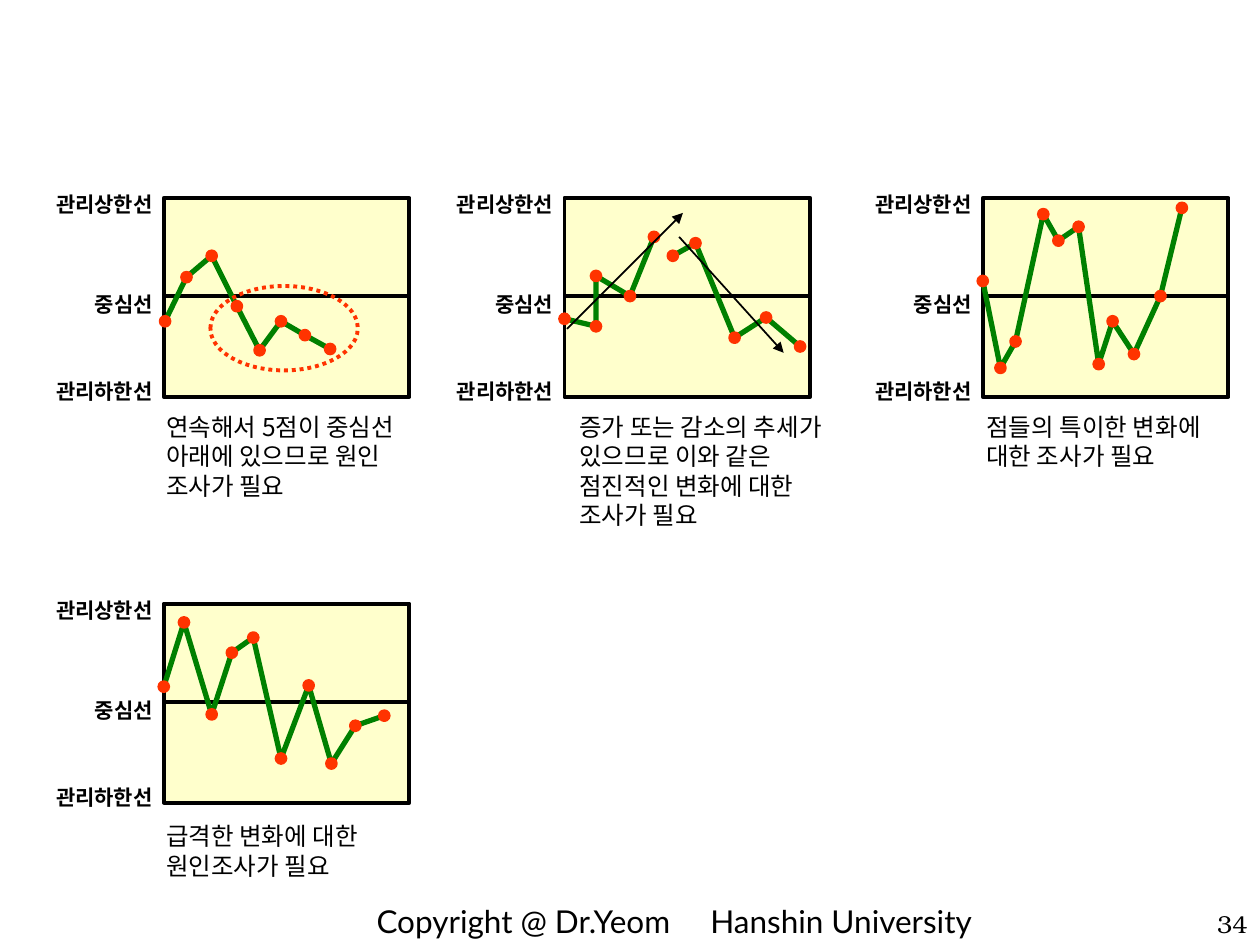
from lxml import etree
from pptx import Presentation
from pptx.dml.color import RGBColor
from pptx.enum.dml import MSO_LINE
from pptx.enum.shapes import MSO_CONNECTOR, MSO_SHAPE
from pptx.enum.text import MSO_ANCHOR, PP_ALIGN
from pptx.oxml.ns import qn
from pptx.util import Inches, Pt

BLACK = RGBColor(0x00, 0x00, 0x00)
CREAM = RGBColor(0xFF, 0xFF, 0xCC)
GREEN = RGBColor(0x00, 0x80, 0x00)
ORANGE = RGBColor(0xFF, 0x33, 0x00)

PANEL_WIDTH, PANEL_HEIGHT = 1.95, 1.58
AXIS_LABELS = ["관리상한선", "중심선", "관리하한선"]

# Each chart: panel corner, caption corner, caption lines, runs of points
CHARTS = [
    ((1.3, 1.57), (1.22, 3.22),
     ["연속해서 5점이 중심선", "아래에 있으므로 원인", "조사가 필요"],
     [[(1.31, 2.55), (1.48, 2.2), (1.68, 2.03), (1.88, 2.43),
       (2.06, 2.78), (2.23, 2.55), (2.42, 2.66), (2.62, 2.77)]]),
    ((4.48, 1.57), (4.5, 3.22),
     ["증가 또는 감소의 추세가", "있으므로 이와 같은", "점진적인 변화에 대한", "조사가 필요"],
     [[(4.48, 2.53), (4.73, 2.59), (4.73, 2.19), (5, 2.35), (5.19, 1.88)],
      [(5.34, 2.03), (5.52, 1.93), (5.83, 2.68), (6.08, 2.52), (6.35, 2.75)]]),
    ((7.8, 1.57), (7.73, 3.22),
     ["점들의 특이한 변화에", "대한 조사가 필요"],
     [[(7.8, 2.23), (7.94, 2.92), (8.06, 2.71), (8.28, 1.7), (8.4, 1.91),
       (8.56, 1.8), (8.72, 2.89), (8.83, 2.55), (9, 2.81), (9.21, 2.35),
       (9.38, 1.65)]]),
    ((1.3, 4.79), (1.22, 6.47),
     ["급격한 변화에 대한", "원인조사가 필요"],
     [[(1.3, 5.45), (1.46, 4.94), (1.68, 5.67), (1.84, 5.18), (2.01, 5.06),
       (2.23, 6.02), (2.45, 5.44), (2.63, 6.06), (2.82, 5.76), (3.05, 5.68)]]),
]


class ControlChartSlide:
    """Holds the slide and the look of its elements."""

    korean_font = "Noto Sans CJK KR"
    line_spacing = 1.2

    def __init__(self, slide):
        self.slide = slide
        self.shapes = slide.shapes

    def shape(self, kind, left, top, width, height, fill, line, weight):
        shape = self.shapes.add_shape(
            kind, Inches(left), Inches(top), Inches(width), Inches(height))
        self.paint(shape, fill, line, weight)
        return shape

    def paint(self, shape, fill, line, weight):
        shape.shadow.inherit = False
        if fill is None:
            shape.fill.background()
        else:
            shape.fill.solid()
            shape.fill.fore_color.rgb = fill
        shape.line.color.rgb = line
        shape.line.width = Pt(weight)

    def line(self, start, end, weight, arrow=False):
        connector = self.shapes.add_connector(
            MSO_CONNECTOR.STRAIGHT, *[Inches(value) for value in start + end])
        connector.line.color.rgb = BLACK
        connector.line.width = Pt(weight)
        if arrow:
            outline = connector.line._get_or_add_ln()
            etree.SubElement(outline, qn("a:tailEnd"), type="triangle")
        etree.SubElement(connector._element.spPr, qn("a:effectLst"))

    def text(self, left, top, width, height, lines, size, font,
             align=PP_ALIGN.LEFT, anchor=MSO_ANCHOR.TOP, bold=False):
        box = self.shapes.add_textbox(
            Inches(left), Inches(top), Inches(width), Inches(height))
        text_frame = box.text_frame
        text_frame.word_wrap = True
        text_frame.vertical_anchor = anchor
        text_frame.text = "\n".join(lines)
        for paragraph in text_frame.paragraphs:
            paragraph.alignment = align
            if font == self.korean_font:
                paragraph.line_spacing = Pt(size * self.line_spacing)
            for run in paragraph.runs:
                run.font.name = font
                run.font.size = Pt(size)
                run.font.bold = bold
                run.font.color.rgb = BLACK
                etree.SubElement(run.font._element, qn("a:ea"), typeface=font)
        return text_frame.paragraphs

    def panel(self, left, top):
        self.shape(MSO_SHAPE.RECTANGLE, left, top, PANEL_WIDTH, PANEL_HEIGHT,
                   CREAM, BLACK, 2.25)
        middle = top + 0.78
        self.line((left, middle), (left + PANEL_WIDTH, middle), 2.25)
        labels = self.text(left - 1.03, top - 0.1, 1.04, 1.78, AXIS_LABELS, 12,
                           self.korean_font, PP_ALIGN.RIGHT, bold=True)
        labels[1].space_before = Pt(43)
        labels[2].space_before = Pt(35)

    def series(self, points):
        corners = [(Inches(x), Inches(y)) for x, y in points]
        builder = self.shapes.build_freeform(*corners[0])
        builder.add_line_segments(corners[1:], close=False)
        self.paint(builder.convert_to_shape(), None, GREEN, 3)
        for x, y in points:
            self.shape(MSO_SHAPE.OVAL, x - 0.04, y - 0.04, 0.08, 0.08,
                       ORANGE, ORANGE, 1.5)

    def highlight(self, left, top, width, height):
        ring = self.shape(MSO_SHAPE.OVAL, left, top, width, height,
                          None, ORANGE, 2.25)
        ring.line.dash_style = MSO_LINE.ROUND_DOT


def main():
    presentation = Presentation()
    presentation.slide_width = Inches(10)
    presentation.slide_height = Inches(7.5)
    page = ControlChartSlide(
        presentation.slides.add_slide(presentation.slide_layouts[6]))

    # Control charts with captions
    for corner, (left, top), caption, runs_of_points in CHARTS:
        page.panel(*corner)
        page.text(left, top, 2.25, 0.1 + 0.23 * len(caption), caption, 14,
                  page.korean_font)
        for points in runs_of_points:
            page.series(points)

    # Marks on the first two charts
    page.highlight(1.67, 2.27, 1.17, 0.67)
    page.line((4.5, 2.61), (5.42, 1.69), 1, arrow=True)
    page.line((5.39, 1.88), (6.22, 2.8), 1, arrow=True)

    # Footer and page number
    footer = page.text(2.89, 7.11, 5.2, 0.39,
                       ["Copyright @ Dr.Yeom\tHanshin University"], 18, "Lato",
                       anchor=MSO_ANCHOR.MIDDLE)
    properties = footer[0]._p.get_or_add_pPr()
    tabs = etree.SubElement(properties, qn("a:tabLst"))
    etree.SubElement(tabs, qn("a:tab"), pos=str(Inches(2.65)), algn="l")
    page.text(8.83, 7.17, 1.17, 0.33, ["34"], 14, "TeX Gyre Bonum",
              PP_ALIGN.RIGHT, MSO_ANCHOR.BOTTOM)

    presentation.save("out.pptx")


if __name__ == "__main__":
    main()
